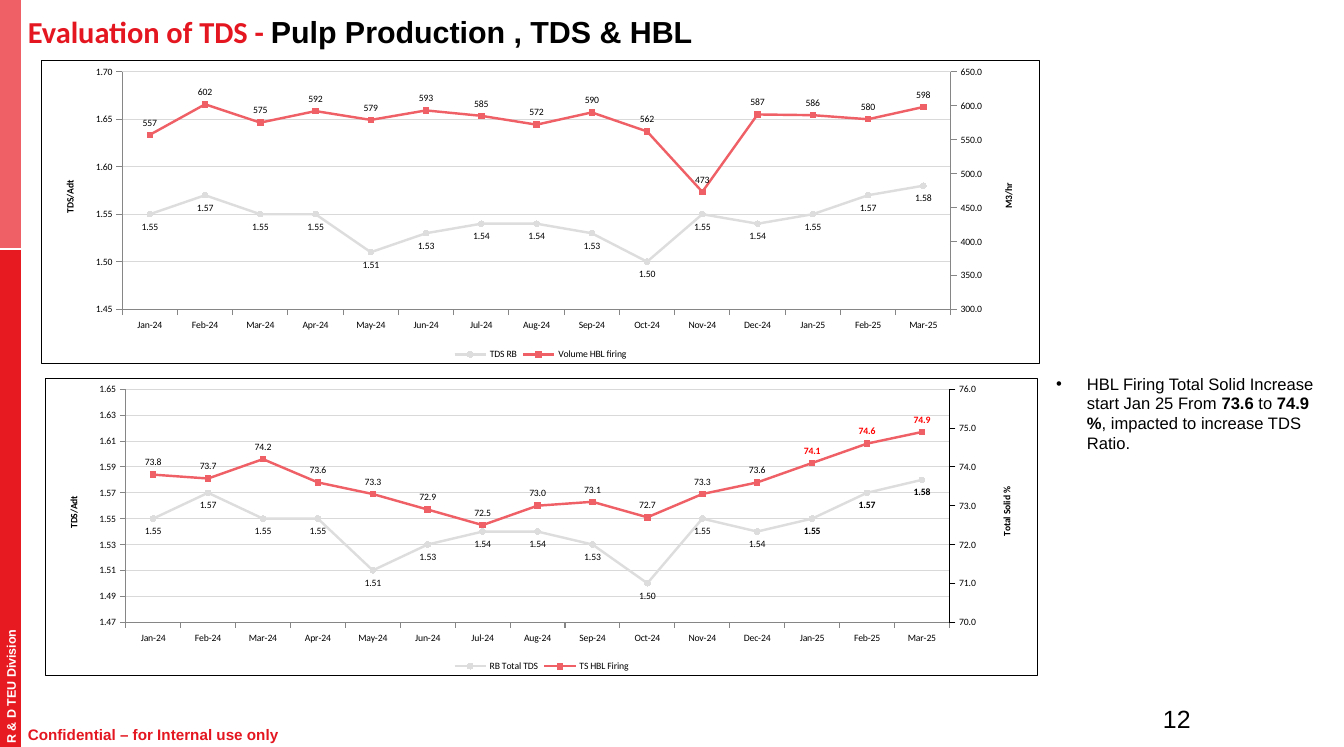
from copy import deepcopy

from lxml.etree import SubElement
from pptx import Presentation
from pptx.chart.axis import CategoryAxis, ValueAxis
from pptx.chart.data import CategoryChartData
from pptx.dml.color import RGBColor
from pptx.enum.chart import XL_CHART_TYPE as ChartType, XL_LABEL_POSITION as LabelPosition
from pptx.enum.chart import XL_LEGEND_POSITION as LegendPosition, XL_MARKER_STYLE as Marker
from pptx.enum.chart import XL_TICK_MARK as TickMark
from pptx.enum.shapes import MSO_CONNECTOR as Connector, MSO_SHAPE as Shape
from pptx.enum.text import MSO_ANCHOR as Anchor, PP_ALIGN as Align
from pptx.oxml import parse_xml
from pptx.oxml.ns import nsdecls, qn
from pptx.util import Inches, Pt

RED = RGBColor(0xE7, 0x19, 0x21)
TEXT_RED = RGBColor(0xE4, 0x17, 0x21)
LABEL_RED = RGBColor(0xFF, 0x00, 0x00)
CORAL = RGBColor(0xEF, 0x5F, 0x66)
SILVER = RGBColor(0xDD, 0xDD, 0xDD)
GRID_GREY = RGBColor(0xD9, 0xD9, 0xD9)
AXIS_GREY = RGBColor(0x86, 0x86, 0x86)
BLACK = RGBColor(0, 0, 0)
WHITE = RGBColor(0xFF, 0xFF, 0xFF)

COLUMNS, ROWS = 135, 75
MONTHS = [f"{month}-24" for month in
          "Jan Feb Mar Apr May Jun Jul Aug Sep Oct Nov Dec".split()]
MONTHS += ["Jan-25", "Feb-25", "Mar-25"]
TDS = [1.55, 1.57, 1.55, 1.55, 1.51, 1.53, 1.54, 1.54, 1.53, 1.5, 1.55, 1.54, 1.55, 1.57, 1.58]
VOLUME = [557, 602, 575, 592, 579, 593, 585, 572, 590, 562, 473, 587, 586, 580, 598]
SOLIDS = [73.8, 73.7, 74.2, 73.6, 73.3, 72.9, 72.5, 73, 73.1, 72.7, 73.3, 73.6, 74.1, 74.6, 74.9]


def set_font(font, size, color=BLACK, bold=False, name="Calibri"):
    font.size, font.bold, font.name = Pt(size), bold, name
    font.color.rgb = color


def set_layout(parent, **shares):
    """Place a chart part by shares of the chart's size."""
    old = parent.find(qn("c:layout"))
    if old is not None:
        parent.remove(old)
    layout = parse_xml(f"<c:layout {nsdecls('c')}><c:manualLayout/></c:layout>")
    manual = layout[0]
    if "w" in shares:
        SubElement(manual, qn("c:layoutTarget")).set("val", "inner")
    for side in "xy":
        SubElement(manual, qn(f"c:{side}Mode")).set("val", "edge")
    for side, share in shares.items():
        SubElement(manual, qn(f"c:{side}")).set("val", str(share))
    parent.insert(len(parent.findall(qn("c:tx"))), layout)


class Page:
    def __init__(self, deck):
        self.slide = deck.slides.add_slide(deck.slide_layouts[6])
        self.shapes = self.slide.shapes
        self.column = deck.slide_width / COLUMNS
        self.row = deck.slide_height / ROWS

    def place(self, left, top, width, height):
        return (round(left * self.column), round(top * self.row),
                round(width * self.column), round(height * self.row))

    def bar(self, area, color):
        bar = self.shapes.add_shape(Shape.RECTANGLE, *self.place(*area))
        bar.shadow.inherit = False
        bar.fill.solid()
        bar.fill.fore_color.rgb = color
        bar.line.fill.background()

    def divider(self, left, top, width):
        x, y, length, _ = self.place(left, top, width, 0)
        line = self.shapes.add_connector(Connector.STRAIGHT, x, y, x + length, y)
        line.line.color.rgb, line.line.width = WHITE, Pt(1.5)
        SubElement(line.element.spPr, qn("a:effectLst"))

    def text(self, area, size, spans, margin=0, wrap=True, turn=0,
             align=Align.LEFT, anchor=Anchor.TOP, bullet_indent=0):
        """Spans are (text, color, bold) or (text, color, bold, font)."""
        box = self.shapes.add_textbox(*self.place(*area))
        box.rotation = turn
        frame = box.text_frame
        frame.word_wrap, frame.vertical_anchor = wrap, anchor
        frame.margin_left = frame.margin_right = Inches(margin)
        frame.margin_top = frame.margin_bottom = Inches(margin / 2)
        para = frame.paragraphs[0]
        para.alignment = align
        if bullet_indent:
            properties = para._p.get_or_add_pPr()
            indent = round(bullet_indent * self.column)
            properties.set("marL", str(indent))
            properties.set("indent", str(-indent))
            SubElement(properties, qn("a:buFont")).set("typeface", "Arial")
            SubElement(properties, qn("a:buChar")).set("char", "•")
        for words, color, bold, *font in spans:
            span = para.add_run()
            span.text = words
            set_font(span.font, size, color, bold, font[0] if font else "Arial")

    def axis(self, axis, scale, title, title_place, number_format, color=AXIS_GREY):
        axis.minimum_scale, axis.maximum_scale, axis.major_unit = scale
        axis.major_tick_mark = TickMark.OUTSIDE
        axis.format.line.color.rgb, axis.format.line.width = color, Pt(0.75)
        axis.tick_labels.number_format = number_format
        axis.tick_labels.number_format_is_linked = False
        frame = axis.axis_title.text_frame
        frame.text = title
        set_font(frame.paragraphs[0].runs[0].font, 7, bold=True)
        heading = axis.axis_title.element if hasattr(axis.axis_title, "element") \
            else axis.axis_title._element
        set_layout(heading, x=title_place[0], y=title_place[1])
        next(heading.iter(qn("a:bodyPr"))).set("rot", "-5400000")

    def series(self, series, color, marker, position, number_format, bold_points, bold_color):
        series.smooth = False
        series.format.line.color.rgb, series.format.line.width = color, Pt(1.75)
        series.marker.style, series.marker.size = marker, 4
        series.marker.format.fill.solid()
        series.marker.format.fill.fore_color.rgb = color
        series.marker.format.line.color.rgb = color
        labels = series.data_labels
        labels.show_value, labels.position = True, position
        labels.number_format, labels.number_format_is_linked = number_format, False
        set_font(labels.font, 7)
        for index in bold_points:
            label = series.points[index].data_label
            set_font(label.font, 7, bold_color, True)
            label.position = position

    def two_axis_chart(self, area, left, right, right_color=AXIS_GREY, bold_points=()):
        """Left and right are (name, values, label format, scale, title, title place)."""
        data = CategoryChartData()
        data.categories = MONTHS
        for name, values, number_format, *_ in (left, right):
            data.add_series(name, values, number_format)
        chart = self.shapes.add_chart(ChartType.LINE_MARKERS, *self.place(*area), data).chart
        set_font(chart.font, 7)
        chart.has_title = False
        chart.has_legend = True
        chart.legend.position, chart.legend.include_in_layout = LegendPosition.BOTTOM, False
        plot = chart.plots[0]
        plot.vary_by_categories = False
        lower, upper = plot.series
        self.series(lower, SILVER, Marker.CIRCLE, LabelPosition.BELOW, left[2],
                    bold_points, BLACK)
        self.series(upper, CORAL, Marker.SQUARE, LabelPosition.ABOVE, right[2],
                    bold_points, LABEL_RED)

        # Left and category axes
        months = chart.category_axis
        months.major_tick_mark = TickMark.OUTSIDE
        months.format.line.color.rgb, months.format.line.width = AXIS_GREY, Pt(0.75)
        chart.value_axis.has_major_gridlines = True
        grid = chart.value_axis.major_gridlines.format.line
        grid.color.rgb, grid.width = GRID_GREY, Pt(0.75)
        self.axis(chart.value_axis, *left[3:], "0.00")

        # Second line group with its own axes
        area_xml = chart.element.find(".//" + qn("c:plotArea"))
        set_layout(area_xml, x=0.081, y=0.038, w=0.83, h=0.782)
        lines = area_xml.find(qn("c:lineChart"))
        second = deepcopy(lines)
        lines.remove(lines.findall(qn("c:ser"))[1])
        second.remove(second.find(qn("c:ser")))
        lines.addnext(second)
        value_xml = area_xml.find(qn("c:valAx"))
        right_xml = deepcopy(value_xml)
        hidden_xml = deepcopy(area_xml.find(qn("c:catAx")))
        value_xml.addnext(right_xml)
        right_xml.addnext(hidden_xml)
        ids = {item.get("val"): str(number) for number, item in
               enumerate(second.findall(qn("c:axId")), 5001)}
        for part in (second, right_xml, hidden_xml):
            for item in part.findall(qn("c:axId")) + part.findall(qn("c:crossAx")):
                item.set("val", ids[item.get("val")])
        CategoryAxis(hidden_xml).visible = False
        right_axis = ValueAxis(right_xml)
        right_axis.has_major_gridlines = False
        right_xml.find(qn("c:axPos")).set("val", "r")
        right_xml.find(qn("c:crosses")).set("val", "max")
        self.axis(right_axis, *right[3:], "0.0", right_color)

        # Frame
        chart.element.find(qn("c:chart")).addnext(parse_xml(
            f'<c:spPr {nsdecls("c", "a")}><a:solidFill><a:srgbClr val="{WHITE}"/></a:solidFill>'
            f'<a:ln w="{Pt(0.75)}"><a:solidFill><a:srgbClr val="{BLACK}"/></a:solidFill></a:ln>'
            '</c:spPr>'))


def main():
    deck = Presentation()
    deck.slide_width, deck.slide_height = Inches(13.5), Inches(7.5)
    page = Page(deck)

    # Side band
    page.bar((0, 0, 2.1, 25), CORAL)
    page.bar((0, 25, 2.1, 50), RED)
    page.divider(0, 25, 2.1)
    page.text((-7, 65.8, 16.2, 1.5), 9, [("R & D TEU Division", WHITE, True)], turn=270)

    # Title and footer
    page.text((2.8, 1.3, 83.8, 7.4), 22, [
        ("Evaluation of TDS - ", TEXT_RED, True, "Calibri"),
        ("Pulp Production , TDS & HBL", BLACK, True)])
    page.text((2.8, 72.8, 32.7, 1.9), 11,
              [("Confidential – for Internal use only", TEXT_RED, True)])
    page.text((116.5, 70.6, 3.1, 3), 18, [("12", BLACK, False)], wrap=False,
              align=Align.RIGHT, anchor=Anchor.BOTTOM)

    # Charts
    page.two_axis_chart(
        (4.5, 37.9, 99.8, 30),
        ("RB Total TDS", TDS, "0.00", (1.47, 1.65, 0.02), "TDS/Adt", (0.02, 0.39)),
        ("TS HBL Firing", SOLIDS, "#,##0.0", (70, 76, 1), "Total Solid %", (0.96, 0.36)),
        right_color=BLACK, bold_points=(12, 13, 14))
    page.two_axis_chart(
        (4.1, 6, 100.4, 30.6),
        ("TDS RB", TDS, "0.00", (1.45, 1.7, 0.05), "TDS/Adt", (0.02, 0.39)),
        ("Volume HBL firing", VOLUME, "#,##0", (300, 650, 50), "M3/hr", (0.96, 0.4)))

    # Finding
    page.text((105.1, 37, 28.6, 7.1), 12, [
        ("HBL Firing Total Solid Increase start Jan 25 From ", BLACK, False),
        ("73.6", BLACK, True), (" to ", BLACK, False), ("74.9 %", BLACK, True),
        (", impacted to increase TDS Ratio.", BLACK, False)], margin=0.1, bullet_indent=3.1)

    deck.save("out.pptx")


if __name__ == "__main__":
    main()
